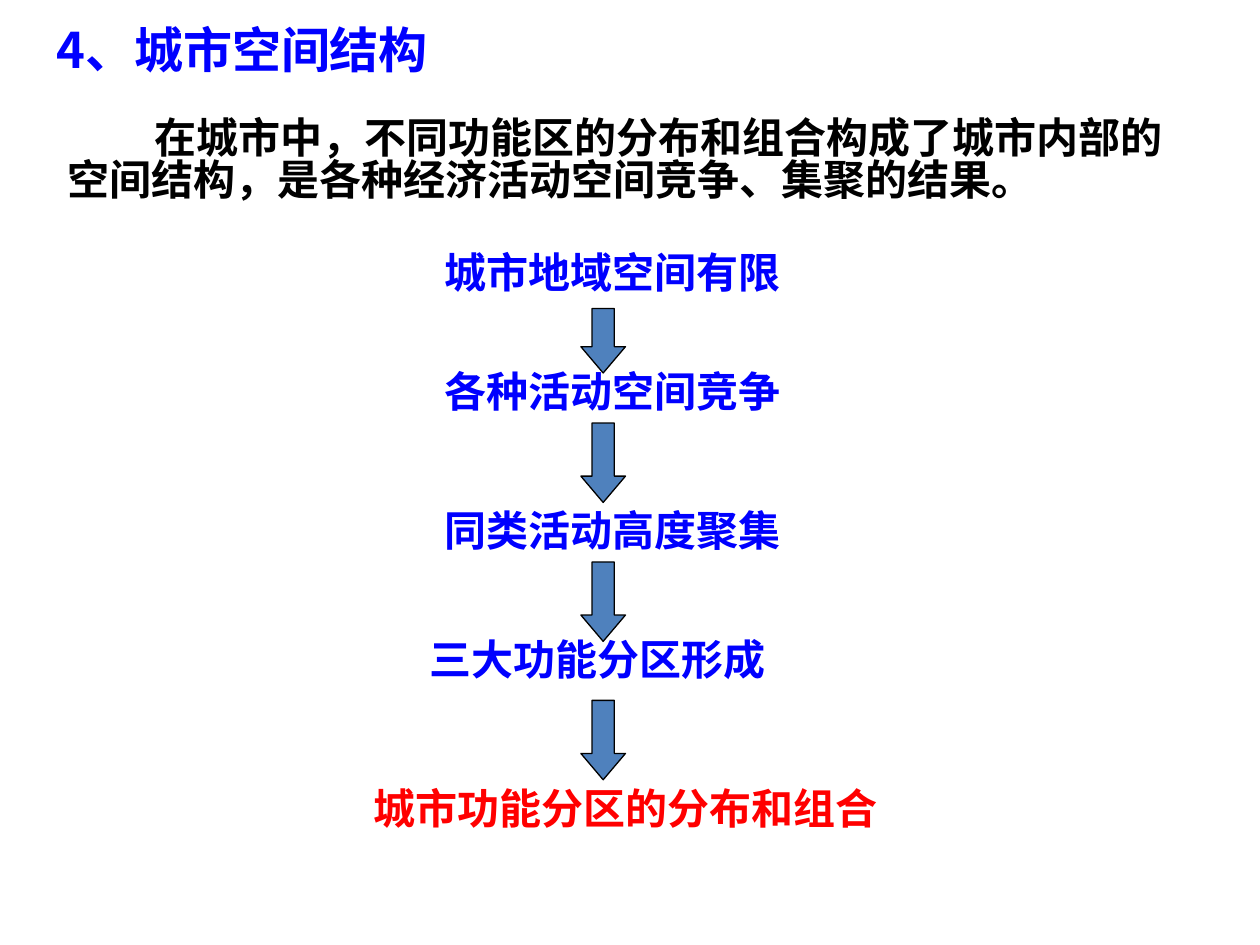
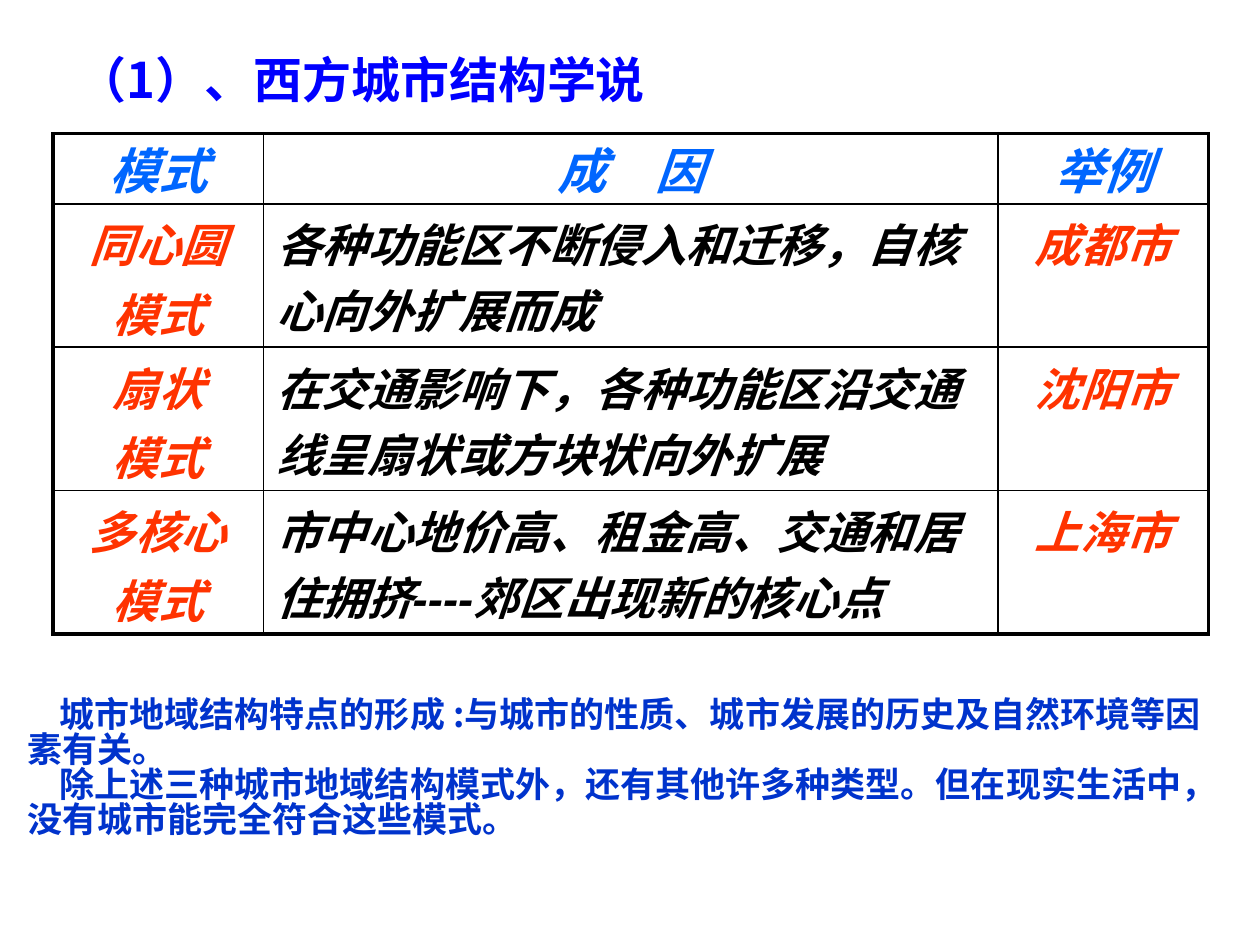
from lxml.etree import SubElement
from pptx import Presentation
from pptx.dml.color import RGBColor
from pptx.enum.shapes import MSO_SHAPE as Preset
from pptx.enum.text import PP_ALIGN as Align
from pptx.oxml.ns import qn
from pptx.util import Cm, Pt

BLUE = RGBColor(0x00, 0x00, 0xFF)
RED = RGBColor(0xFF, 0x00, 0x00)
BLACK = RGBColor(0x00, 0x00, 0x00)
STEEL = RGBColor(0x4F, 0x81, 0xBD)
HEADER_BLUE = RGBColor(0x00, 0x66, 0xFF)
ORANGE = RGBColor(0xFF, 0x33, 0x00)
NOTE_BLUE = RGBColor(0x00, 0x33, 0xCC)

CJK = "Noto Sans CJK SC"
SERIF = "Times New Roman"
SANS = "Arial"


class Deck:
    """Holds the shared style and the slide being filled; lengths are in cm."""

    def __init__(self):
        self.prs = Presentation()
        self.prs.slide_width, self.prs.slide_height = Cm(25.4), Cm(19.05)
        self.slide = None

    def new_slide(self):
        self.slide = self.prs.slides.add_slide(self.prs.slide_layouts[6])

    def fill_frame(self, frame, text, size, color, font, align=Align.LEFT,
                   italic=False, line_spacing=1.0, gap=0, indent=0):
        """Fill a frame, one paragraph a line; gap separates the paragraphs."""
        frame.word_wrap = True
        frame.text = text
        for index, paragraph in enumerate(frame.paragraphs):
            paragraph.alignment = align
            paragraph.line_spacing = line_spacing
            if index and gap:
                paragraph.space_before = Pt(gap)
            if indent:
                paragraph._p.get_or_add_pPr().set("indent", str(Cm(indent)))
            for run in paragraph.runs:
                run.font.size = Pt(size)
                run.font.bold = True
                run.font.italic = italic
                run.font.color.rgb = color
                run.font.name = font
                SubElement(run.font._element, qn("a:ea"), typeface=CJK)

    def text(self, text, left, top, width, height, size=24, color=BLUE,
             font=SERIF, indent=0):
        box = self.slide.shapes.add_textbox(Cm(left), Cm(top), Cm(width), Cm(height))
        box.text_frame.margin_top = Cm(0.22)
        self.fill_frame(box.text_frame, text, size, color, font,
                        line_spacing=0.83, indent=indent)

    def title(self, text, left, top, width):
        self.text(text, left, top, width, 1.45, size=28, font=CJK)

    def down_arrow(self, left, top, height):
        arrow = self.slide.shapes.add_shape(
            Preset.DOWN_ARROW, Cm(left), Cm(top), Cm(0.9), Cm(height))
        arrow.adjustments[0], arrow.adjustments[1] = 0.5, 0.59
        arrow.shadow.inherit = False
        arrow.fill.solid()
        arrow.fill.fore_color.rgb = STEEL
        arrow.line.color.rgb = BLACK
        arrow.line.width = Pt(0.75)

    def borders(self, cell, outer_sides):
        properties = cell._tc.get_or_add_tcPr()
        for side in "LRTB":
            width = Pt(2.25 if side in outer_sides else 1)
            line = SubElement(properties, qn(f"a:ln{side}"), w=str(width))
            fill = SubElement(line, qn("a:solidFill"))
            SubElement(fill, qn("a:srgbClr"), val=str(BLACK))

    def table(self, rows, left, top, widths, heights):
        table = self.slide.shapes.add_table(
            len(rows), len(widths), Cm(left), Cm(top),
            Cm(sum(widths)), Cm(sum(heights))).table
        table.first_row = table.horz_banding = False
        for column, width in zip(table.columns, widths):
            column.width = Cm(width)
        last_row, last_column = len(rows) - 1, len(widths) - 1
        for r, row in enumerate(rows):
            table.rows[r].height = Cm(heights[r])
            for c, text in enumerate(row):
                cell = table.cell(r, c)
                cell.margin_top, cell.margin_bottom = Cm(0.12), 0
                edges = {"L": c == 0, "R": c == last_column,
                         "T": r == 0, "B": r == last_row}
                self.borders(cell, [side for side, outer in edges.items() if outer])
                cell.fill.background()
                if r == 0:
                    self.fill_frame(cell.text_frame, text, 28, HEADER_BLUE, SANS,
                                    Align.CENTER, italic=True, line_spacing=0.88)
                else:
                    is_cause = c == 1
                    self.fill_frame(cell.text_frame, text, 26,
                                    BLACK if is_cause else ORANGE, SANS,
                                    Align.LEFT if is_cause else Align.CENTER,
                                    italic=True, gap=2)


def spatial_structure(deck):
    deck.new_slide()
    deck.text("在城市中，不同功能区的分布和组合构成了城市内部的空间结构，"
              "是各种经济活动空间竞争、集聚的结果。",
              1.12, 2.21, 22.81, 3.07, color=BLACK, font="Calibri", indent=1.74)
    steps = [
        ("城市地域空间有限", 8.71, 4.93, 7.82, BLUE),
        ("各种活动空间竞争", 8.71, 7.32, 7.42, BLUE),
        ("同类活动高度聚集", 8.71, 10.13, 7.62, BLUE),
        ("三大功能分区形成", 8.41, 12.73, 7.52, BLUE),
        ("城市功能分区的分布和组合", 7.29, 15.72, 11.48, RED),
    ]
    for step, left, top, width, color in steps:
        deck.text(step, left, top, width, 1.27, color=color)
    for top, height in [(6.22, 1.3), (8.53, 1.6), (11.33, 1.6), (14.12, 1.6)]:
        deck.down_arrow(11.71, top, height)
    deck.title("4、城市空间结构", 0.89, 0.38, 17.86)


def western_models(deck):
    deck.new_slide()
    deck.title("（1）、西方城市结构学说", 1.32, 0.97, 15.19)
    models = [
        ("模式", "成　因", "举例"),
        ("同心圆\n模式", "各种功能区不断侵入和迁移，自核心向外扩展而成", "成都市"),
        ("扇状\n模式", "在交通影响下，各种功能区沿交通线呈扇状或方块状向外扩展", "沈阳市"),
        ("多核心\n模式", "市中心地价高、租金高、交通和居住拥挤----郊区出现新的核心点", "上海市"),
    ]
    deck.table(models, 1.07, 2.69, [4.24, 14.81, 4.24], [1.42] + [2.89] * 3)
    deck.text("城市地域结构特点的形成 :与城市的性质、城市发展的历史及自然环境等因素有关。\n"
              "除上述三种城市地域结构模式外，还有其他许多种类型。"
              "但在现实生活中，没有城市能完全符合这些模式。",
              0.3, 13.89, 24.79, 3.68, size=20, color=NOTE_BLUE, font=CJK, indent=0.65)


def main():
    deck = Deck()
    spatial_structure(deck)
    western_models(deck)
    deck.prs.save("out.pptx")


if __name__ == "__main__":
    main()
